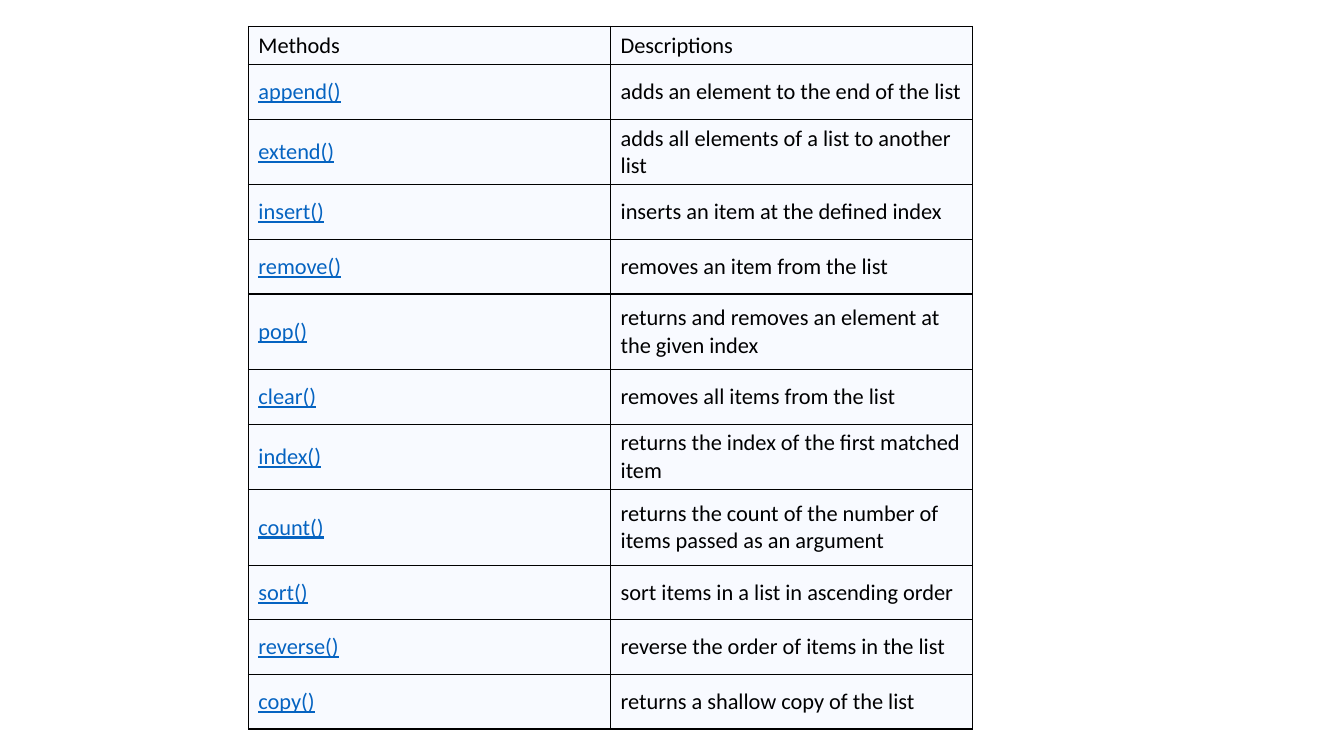
from lxml import etree
from pptx import Presentation, util as u
from pptx.dml.color import RGBColor
from pptx.enum import text
from pptx.oxml import ns

COLORS = {"ink": "000000", "method": "0563C1", "cell": "F8FAFF"}

# Row heights in percent of the slide height
HEADER, SINGLE, TIGHT, DOUBLE = 5.07, 7.22, 8.67, 10

METHODS = [
    ("append()", "adds an element to the end of the list", SINGLE),
    ("extend()", "adds all elements of a list to another list", TIGHT),
    ("insert()", "inserts an item at the defined index", SINGLE),
    ("remove()", "removes an item from the list", SINGLE),
    ("pop()", "returns and removes an element at the given index", DOUBLE),
    ("clear()", "removes all items from the list", SINGLE),
    ("index()", "returns the index of the first matched item", TIGHT),
    ("count()", "returns the count of the number of items passed as an argument", DOUBLE),
    ("sort()", "sort items in a list in ascending order", SINGLE),
    ("reverse()", "reverse the order of items in the list", SINGLE),
    ("copy()", "returns a shallow copy of the list", SINGLE),
]


class SlideBuilder:
    font = "Calibri"
    size = u.Pt(16)
    border = u.Pt(1)

    def __init__(self, deck):
        self.width, self.height = deck.slide_width, deck.slide_height
        self.slide = deck.slides.add_slide(deck.slide_layouts[6])

    def across(self, percent):
        return round(self.width * percent / 100)

    def down(self, percent):
        return round(self.height * percent / 100)

    def outline(self, cell):
        """Draw all four borders; they come before the fill in the cell."""
        properties = cell._tc.get_or_add_tcPr()
        for place, side in enumerate(("lnL", "lnR", "lnT", "lnB")):
            line = etree.Element(ns.qn(f"a:{side}"), w=str(self.border))
            fill = etree.SubElement(line, ns.qn("a:solidFill"))
            etree.SubElement(fill, ns.qn("a:srgbClr"), val=COLORS["ink"])
            properties.insert(place, line)

    def fill_cell(self, cell, wording, is_method):
        cell.text = wording
        cell.vertical_anchor = text.MSO_ANCHOR.MIDDLE
        cell.fill.solid()
        cell.fill.fore_color.rgb = RGBColor.from_string(COLORS["cell"])
        font = cell.text_frame.paragraphs[0].font
        font.name, font.size, font.bold = self.font, self.size, False
        font.underline = is_method
        font.color.rgb = RGBColor.from_string(COLORS["method" if is_method else "ink"])
        self.outline(cell)

    def table(self, left, top, column, rows):
        """Place a table with equal columns; each row ends with its height."""
        count = len(rows[0]) - 1
        total = sum(row[-1] for row in rows)
        grid = self.slide.shapes.add_table(
            len(rows), count, self.across(left), self.down(top),
            self.across(column * count), self.down(total)).table
        for r, (*wordings, height) in enumerate(rows):
            grid.rows[r].height = self.down(height)
            for c, wording in enumerate(wordings):
                self.fill_cell(grid.cell(r, c), wording, r > 0 and c == 0)


def main():
    deck = Presentation()
    deck.slide_width, deck.slide_height = u.Inches(13.33), u.Inches(7.5)
    builder = SlideBuilder(deck)

    # List methods under their header row
    header = ("Methods", "Descriptions", HEADER)
    builder.table(left=18.48, top=3.5, column=26.95, rows=[header, *METHODS])

    deck.save("out.pptx")


if __name__ == "__main__":
    main()
